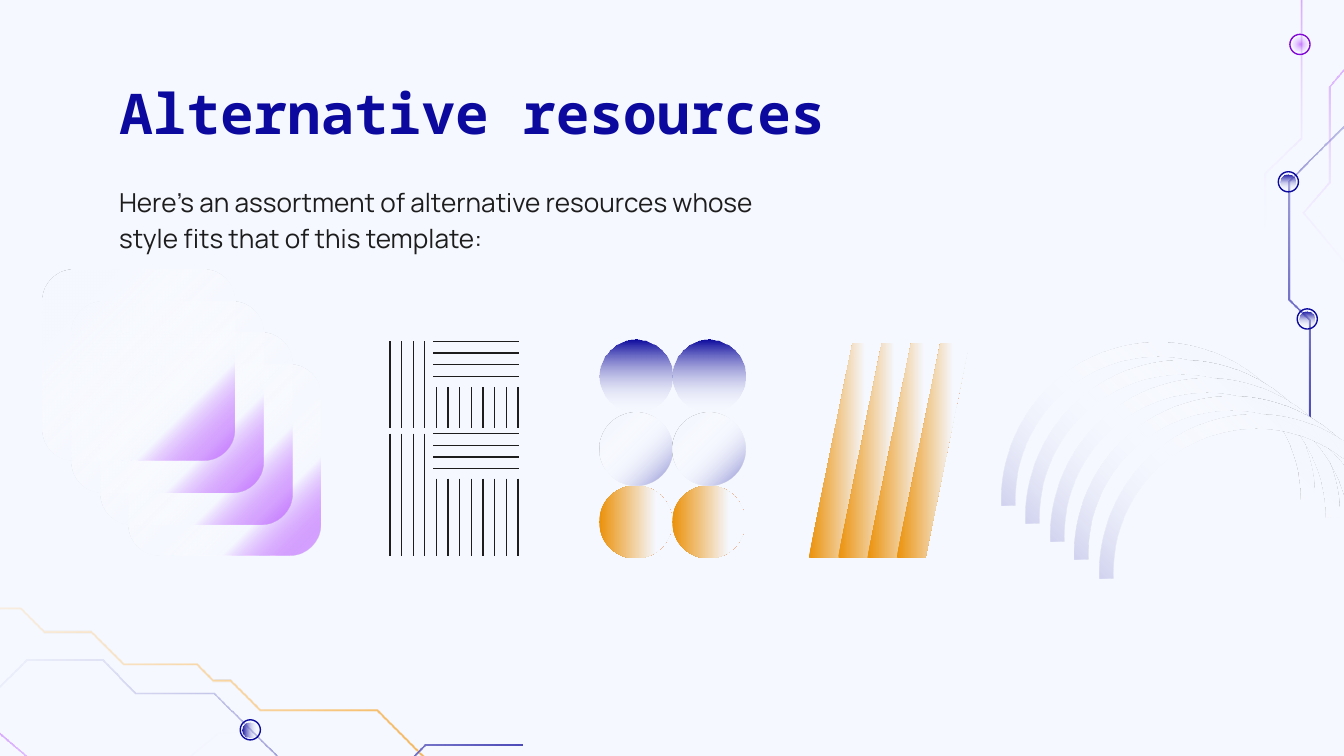
import math

from lxml import etree
from pptx import Presentation
from pptx import util as u
from pptx.dml.color import RGBColor
from pptx.enum import shapes, text
from pptx.oxml import ns

NAVY = RGBColor(0x0C, 0x0A, 0x9E)
VIOLET = RGBColor(0x99, 0x00, 0xFF)
PURPLE = RGBColor(0x82, 0x08, 0xD5)
AMBER = RGBColor(0xEB, 0x91, 0x09)
ORANGE = RGBColor(0xFF, 0x99, 0x00)
PALE = RGBColor(0xF5, 0xF8, 0xFF)
WHITE = RGBColor(0xFF, 0xFF, 0xFF)
INK = RGBColor(0x1D, 0x1D, 0x1D)

# Gradients: stops of (position, colour, opacity), then an angle or a focus
CLEAR = (100, WHITE, 0)
NAVY_FADE = ([(0, NAVY, 100), CLEAR], 90)
VIOLET_FADE = ([(0, VIOLET, 47), CLEAR], 90)
VIOLET_GLOW = ([(0, VIOLET, 47), CLEAR], (50, 50, 50, 50))
ORANGE_FADE = ([(0, AMBER, 100), (40, ORANGE, 41), CLEAR], 45)
AMBER_SIDE = ([(0, AMBER, 100), (78, PALE, 100), (100, PALE, 100)], 0)
NAVY_CORNER = ([(0, PALE, 100), (22, PALE, 100), (45, WHITE, 0),
                (100, NAVY, 50)], 45)
VIOLET_CORNER = ([(0, PALE, 100), (18, PALE, 100), (56, WHITE, 0),
                  (74, PALE, 100), (100, VIOLET, 29)], (0, 0, 100, 100))


def turned(points, degrees):
    """Points turned clockwise about the origin, as complex numbers."""
    angle = math.radians(degrees)
    turn = complex(math.cos(angle), math.sin(angle))
    return [complex(x, y) * turn for x, y in points]


def ribbon(track, half_width=0.5):
    """Closed outline of a thin band along the track."""
    steps = [(b - a) / abs(b - a) for a, b in zip(track, track[1:])]
    sides = []
    for before, after in zip(steps[:1] + steps, steps + steps[-1:]):
        middle = (before + after) / 2
        sides.append(1j * half_width * middle / abs(middle) ** 2)
    left = [point + side for point, side in zip(track, sides)]
    right = [point - side for point, side in zip(track, sides)]
    return left + right[::-1]


# Circuit tracks, measured from their own centres
CIRCUIT = turned([(-3.6, 166.3), (-3.6, 113.8), (-14.4, 103), (-14.4, 39.6),
                  (24.1, 0.7), (24.1, -41.4), (41.8, -58.7), (41.8, -99.7),
                  (4, -137.9), (4, -165.6)], -225)
BRANCH = turned([(22.3, -77.4), (-3.2, -51.8), (-3.2, 24.8), (-22.3, 43.6),
                 (-22.3, 77.8)], 0)
ZIGZAG = turned([(26.6, -81.4), (-12.6, -34.9), (-12.6, 16.2), (-26.3, 32.4),
                 (1.4, 65.9), (1.4, 82.8)], 0)
STAIRS = turned([(243.4, 20.9), (148.7, 20.9), (114.1, -13.7), (51.5, -13.7),
                 (35.6, -29.5), (26.3, -29.5), (17.6, -38.2), (-21.6, -38.2),
                 (-38.9, -55.4), (-64.1, -55.4), (-76.7, -68), (-140, -68),
                 (-187.9, -20.2), (-243.4, -20.2)], -135)


class Page:
    def __init__(self, deck):
        self.slide = deck.slides.add_slide(deck.slide_layouts[5])
        self.shapes = self.slide.shapes
        fill = self.slide.background.fill
        fill.solid()
        fill.fore_color.rgb = PALE

    def set_words(self, box, words, font, size, colour, bold=False, spacing=1.0):
        frame = box.text_frame
        frame.text = words
        frame.word_wrap = True
        frame.auto_size = text.MSO_AUTO_SIZE.NONE
        frame.vertical_anchor = text.MSO_ANCHOR.TOP
        frame.margin_left = frame.margin_right = u.Pt(7.2)
        frame.margin_top = frame.margin_bottom = u.Pt(7.2)
        para = frame.paragraphs[0]
        para.alignment = text.PP_ALIGN.LEFT
        para.line_spacing = spacing
        span = para.runs[0]
        span.font.name, span.font.size = font, u.Pt(size)
        span.font.bold, span.font.color.rgb = bold, colour

    def title(self, words, left, top, width, height):
        box = self.shapes.title
        box.left, box.top = u.Pt(left), u.Pt(top)
        box.width, box.height = u.Pt(width), u.Pt(height)
        self.set_words(box, words, "Noto Sans Mono", 30, NAVY, bold=True)

    def body(self, words, left, top, width, height):
        box = self.shapes.add_textbox(*map(u.Pt, (left, top, width, height)))
        self.set_words(box, words, "Manrope", 14, INK, spacing=1.15)

    def shade(self, shape, gradient):
        stops, direction = gradient
        shape.shadow.inherit = False
        shape.line.fill.background()
        shape.fill.gradient()
        grad = shape._element.spPr.find(ns.qn("a:gradFill"))
        for child in list(grad):
            grad.remove(child)
        stop_list = etree.SubElement(grad, ns.qn("a:gsLst"))
        for position, colour, opacity in stops:
            stop = etree.SubElement(stop_list, ns.qn("a:gs"), pos=str(position * 1000))
            tint = etree.SubElement(stop, ns.qn("a:srgbClr"), val=str(colour))
            if opacity < 100:
                etree.SubElement(tint, ns.qn("a:alpha"), val=str(opacity * 1000))
        if isinstance(direction, tuple):
            focus = etree.SubElement(grad, ns.qn("a:path"), {"path": "circle"})
            edges = {side: str(part * 1000) for side, part in zip("ltrb", direction)}
            etree.SubElement(focus, ns.qn("a:fillToRect"), edges)
        else:
            etree.SubElement(grad, ns.qn("a:lin"), ang=str(direction * 60000), scaled="0")

    def preset(self, kind, left, top, width, height, gradient,
               adjust=(), rotation=0, mirrored=False):
        shape = self.shapes.add_shape(kind, *map(u.Pt, (left, top, width, height)))
        for index, value in enumerate(adjust):
            shape.adjustments[index] = value
        shape.rotation = rotation
        if mirrored:
            shape._element.spPr.xfrm.set("flipH", "1")
        self.shade(shape, gradient)

    def track(self, points, x, y, rotation, gradient):
        corners = [(u.Pt(point.real + x), u.Pt(point.imag + y))
                   for point in ribbon(points)]
        builder = self.shapes.build_freeform(*corners[0])
        builder.add_line_segments(corners[1:], close=True)
        shape = builder.convert_to_shape()
        shape.rotation = rotation
        self.shade(shape, gradient)

    def node(self, x, y, colour, gradient, rotation=0):
        oval = shapes.MSO_SHAPE.OVAL
        ring = self.shapes.add_shape(oval, *map(u.Pt, (x - 5.4, y - 5.4, 10.8, 10.8)))
        ring.shadow.inherit = False
        ring.rotation = rotation
        ring.fill.background()
        ring.line.color.rgb, ring.line.width = colour, u.Pt(0.75)
        self.preset(oval, x - 4, y - 4, 8, 8, gradient, rotation=rotation)

    def line(self, x1, y1, x2, y2):
        stroke = self.shapes.add_connector(
            shapes.MSO_CONNECTOR.STRAIGHT, *map(u.Pt, (x1, y1, x2, y2)))
        stroke.line.color.rgb, stroke.line.width = INK, u.Pt(0.75)
        etree.SubElement(stroke._element.spPr, ns.qn("a:effectLst"))


def main():
    deck = Presentation()
    deck.slide_width, deck.slide_height = u.Pt(720), u.Pt(405)
    page = Page(deck)
    kinds = shapes.MSO_SHAPE

    # Circuit in the upper right corner
    page.track(CIRCUIT, 705.6, 57.6, 225, NAVY_FADE)
    page.track(BRANCH, 700.2, 49, 0, VIOLET_FADE)
    page.track(ZIGZAG, 724.7, 81.4, 0, VIOLET_FADE)
    page.node(690.2, 97.4, NAVY, NAVY_FADE)
    page.node(700.3, 170.9, NAVY, NAVY_FADE)
    page.node(696.4, 23.8, PURPLE, VIOLET_GLOW)

    # Circuit in the lower left corner
    page.track(STAIRS, 87.8, 394.9, 135, ORANGE_FADE)
    page.track(CIRCUIT, 114.5, 395.3, 135, NAVY_FADE)
    page.node(134.1, 391, NAVY, NAVY_FADE, rotation=270)
    page.track(BRANCH, 19.1, 417.6, 270, VIOLET_FADE)
    page.track(ZIGZAG, 51.5, 393.1, 270, VIOLET_FADE)

    # Heading and introduction
    page.title("Alternative resources", 56.7, 35.1, 606.6, 45.1)
    page.body("Here’s an assortment of alternative resources whose style fits "
              "that of this template:", 56.7, 90, 356.4, 54.7)

    # Hatched panels: four long bars, eight short bars, four rules
    pitch = 6.23
    for top, short_top, bottom in ((182.9, 207.4, 229.2), (232.3, 256.5, 298)):
        for bar in range(12):
            x = 208.9 + bar * pitch
            page.line(x, top if bar < 4 else short_top, x, bottom)
        for rule in range(4):
            y = top + rule * pitch
            page.line(278, y, 231.9, y)

    # Two columns of discs
    for row, gradient in enumerate((NAVY_FADE, NAVY_CORNER, AMBER_SIDE)):
        for column in range(2):
            page.preset(kinds.OVAL, 321 + column * 39.1, 181.9 + row * 39.1,
                        39.1, 39.1, gradient)

    # Stacked rounded squares, front one last
    for step in (3, 2, 1, 0):
        page.preset(kinds.ROUNDED_RECTANGLE, 22.9 + step * 15.4, 144.4 + step * 17,
                    102.8, 102.4, VIOLET_CORNER, adjust=(0.167,), rotation=180)

    # Slanted bars
    for step in range(4):
        page.preset(kinds.PARALLELOGRAM, 433.3 + step * 15.7, 183.7, 38.9, 115.1,
                    AMBER_SIDE, adjust=(0.603,))

    # Fan of arcs
    for step in range(5):
        page.preset(kinds.BLOCK_ARC, 536.4 + step * 13.15, 183.4 + step * 9.75,
                    167.8, 167.8, NAVY_CORNER, adjust=(108, 1.388, 0.045),
                    mirrored=True)

    deck.save("out.pptx")


if __name__ == "__main__":
    main()
